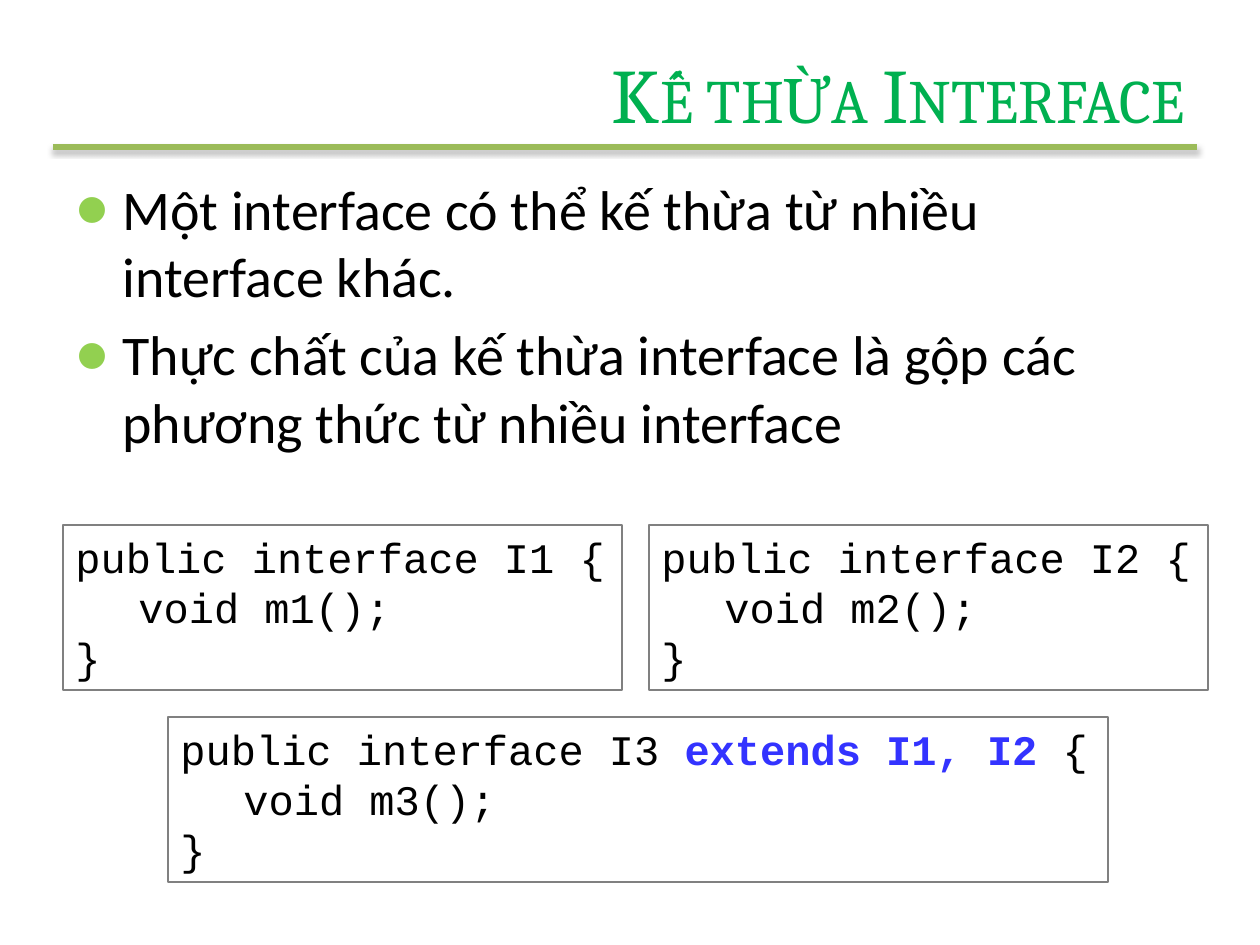
from dataclasses import dataclass

from lxml import etree
from pptx import Presentation
from pptx import util as u
from pptx.dml.color import RGBColor
from pptx.enum import shapes, text
from pptx.oxml import parse_xml
from pptx.oxml.ns import nsdecls, qn

PX_PER_INCH = 126


@dataclass(frozen=True)
class Theme:
    title_font: str = "Cambria"
    body_font: str = "Calibri"
    code_font: str = "Courier New"
    title_size: int = 44
    body_size: int = 32
    code_size: int = 24
    title: str = "00B050"
    ink: str = "000000"
    rule: str = "9BBB59"
    bullet: str = "92D050"
    border: str = "808080"
    keyword: str = "3333FF"


THEME = Theme()


def px(n):
    return u.Emu(round(n * u.Inches(1) / PX_PER_INCH))


def box(*lengths):
    return [px(n) for n in lengths]


def style(r, font, size, color, bold=False):
    r.font.name = font
    r.font.size = u.Pt(size)
    r.font.color.rgb = RGBColor.from_string(color)
    r.font.bold = bold


def add_rule(slide, left, right, y):
    """Draw the line under the title, with its soft shadow."""
    line = slide.shapes.add_connector(
        shapes.MSO_CONNECTOR.STRAIGHT, *box(left, y, right, y))
    line.line.color.rgb = RGBColor.from_string(THEME.rule)
    line.line.width = u.Pt(3)
    line._element.spPr.append(parse_xml(
        f'<a:effectLst {nsdecls("a")}>'
        '<a:outerShdw blurRad="39370" dist="22860" dir="5400000" rotWithShape="0">'
        '<a:srgbClr val="000000"><a:alpha val="35000"/></a:srgbClr>'
        '</a:outerShdw></a:effectLst>'))


def set_title(slide, title, left, top, width, height):
    sp = slide.shapes.title
    sp.left, sp.top, sp.width, sp.height = box(left, top, width, height)
    tf = sp.text_frame
    tf.text = title
    tf.auto_size = text.MSO_AUTO_SIZE.NONE
    tf.vertical_anchor = text.MSO_ANCHOR.MIDDLE
    p = tf.paragraphs[0]
    p.alignment = text.PP_ALIGN.RIGHT
    r = p.runs[0]
    style(r, THEME.title_font, THEME.title_size, THEME.title)
    r.font._element.set("cap", "small")


def add_bullet(p, indent):
    pPr = p._p.get_or_add_pPr()
    pPr.set("marL", str(px(indent)))
    pPr.set("indent", str(-px(indent)))
    before = etree.SubElement(pPr, qn("a:spcBef"))
    etree.SubElement(before, qn("a:spcPct")).set("val", "20000")
    color = etree.SubElement(pPr, qn("a:buClr"))
    etree.SubElement(color, qn("a:srgbClr")).set("val", THEME.bullet)
    etree.SubElement(pPr, qn("a:buFont")).set("typeface", THEME.body_font)
    etree.SubElement(pPr, qn("a:buChar")).set("char", "●")


def add_bullets(slide, items, left, top, width, height):
    tf = slide.shapes.add_textbox(*box(left, top, width, height)).text_frame
    tf.word_wrap = True
    tf.text = "\n".join(items)
    for p in tf.paragraphs:
        add_bullet(p, 47)
        style(p.runs[0], THEME.body_font, THEME.body_size, THEME.ink)


def add_code(slide, number, left, top, width, parents=""):
    """Draw a bordered interface declaration, with any extends clause in bold."""
    sp = slide.shapes.add_shape(
        shapes.MSO_SHAPE.RECTANGLE, *box(left, top, width, 165))
    sp.shadow.inherit = False
    sp.fill.background()
    sp.line.color.rgb = RGBColor.from_string(THEME.border)
    sp.line.width = u.Pt(0.75)
    tf = sp.text_frame
    tf.word_wrap = False
    tf.auto_size = text.MSO_AUTO_SIZE.SHAPE_TO_FIT_TEXT
    tf.vertical_anchor = text.MSO_ANCHOR.TOP
    tf.text = f"public interface I{number} \n\tvoid m{number}();\n}}"
    head = tf.paragraphs[0]
    if parents:
        head.add_run().text = f"extends {parents} "
    head.add_run().text = "{"
    for p in tf.paragraphs:
        p.alignment = text.PP_ALIGN.LEFT
        for r in p.runs:
            extends = r.text.startswith("extends")
            style(r, THEME.code_font, THEME.code_size,
                  THEME.keyword if extends else THEME.ink, extends)


def main():
    prs = Presentation()
    prs.slide_width, prs.slide_height = box(1260, 945)
    slide = prs.slides.add_slide(prs.slide_layouts[5])
    add_rule(slide, 53, 1197, 147)
    set_title(slide, "Kế thừa Interface", 183, 38, 1014, 109)
    add_bullets(slide, [
        "Một interface có thể kế thừa từ nhiều interface khác.",
        "Thực chất của kế thừa interface là gộp các phương thức từ nhiều interface",
    ], 63, 168, 1134, 305)
    add_code(slide, 1, 63, 525, 559)
    add_code(slide, 2, 649, 525, 559)
    add_code(slide, 3, 168, 717, 940, parents="I1, I2")
    prs.save("out.pptx")


if __name__ == "__main__":
    main()
